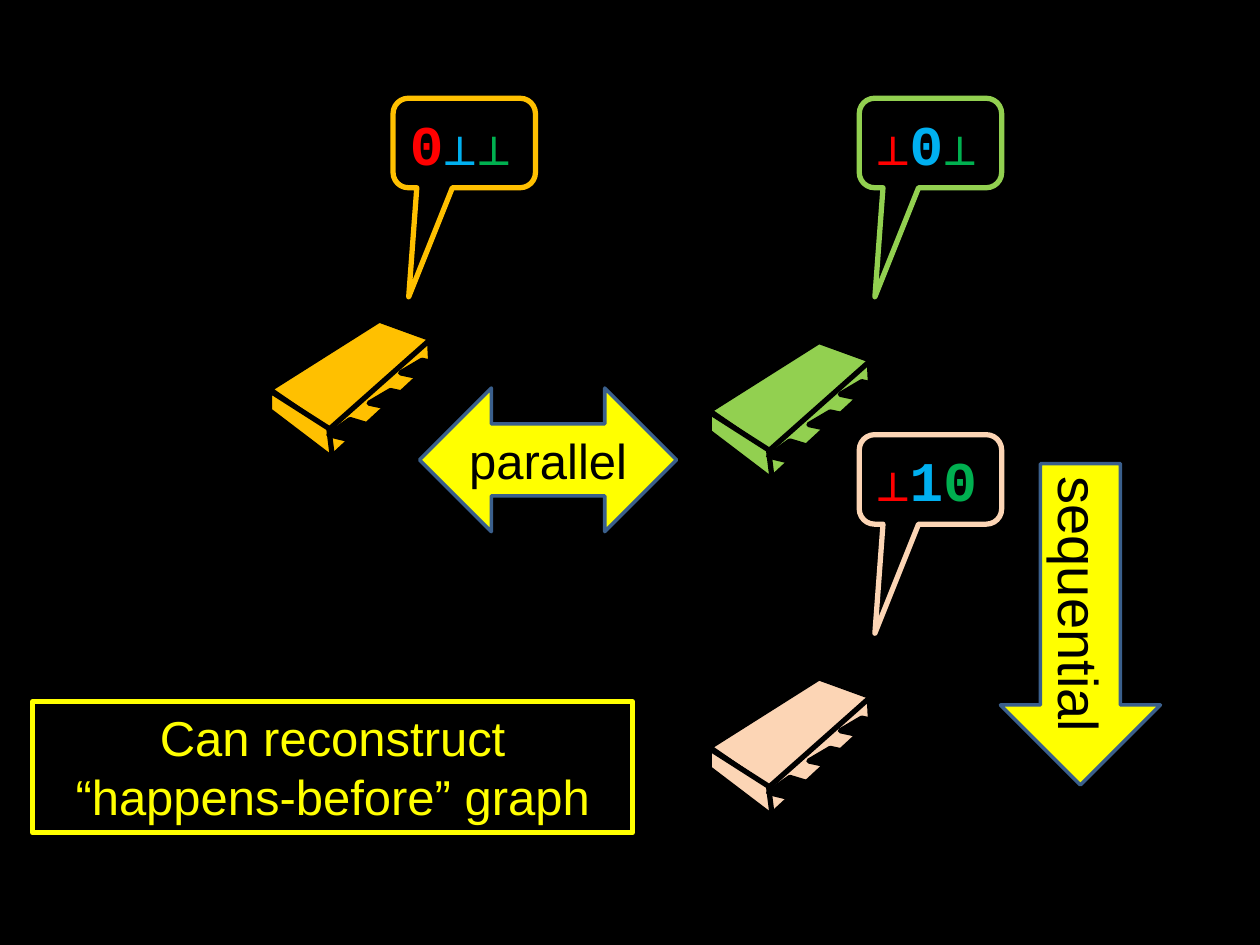
from dataclasses import dataclass

import pptx
import pptx.dml.color
import pptx.enum.shapes
import pptx.enum.text
import pptx.oxml
import pptx.oxml.ns
import pptx.util
from pptx.util import Inches

BLACK, YELLOW, ARROW_EDGE = "000000", "FFFF00", "3A5F8C"
CLOCK_COLOURS = ("FF0000", "00B0F0", "00B050")
SHAPES = pptx.enum.shapes.MSO_SHAPE
ALIGN = pptx.enum.text.PP_ALIGN
ANCHOR = pptx.enum.text.MSO_ANCHOR


@dataclass(frozen=True)
class Chip:
    left: float
    top: float
    colour: str
    clock: str
    callout_left: float
    callout_top: float


@dataclass(frozen=True)
class Part:
    """An outline placed inside a chip; black unless it is a face."""
    left: float
    top: float
    outline: tuple
    is_face: bool = False


@dataclass(frozen=True)
class Label:
    kind: int
    box: tuple
    text: str
    size: int
    fill: str
    line: str
    line_width: float
    font_colour: str
    rotation: int = 0
    wrap: bool = False
    anchor: int = ANCHOR.MIDDLE


# Outlines of the chip parts, in inches
BACK_PIN = ((0.24, 0.08), (0.08, 0), (0, 0.08), (0, 0.55),
            (0.08, 0.47), (0.08, 0.16), (0.24, 0.24))
CORNER_PIN = ((0.17, 0), (0, 0.12), (0.29, 0.19), (0.29, 0.55),
              (0.4, 0.43), (0.4, 0.07))
FRONT_PIN = ((0.17, 0), (0, 0.1), (0.28, 0.16), (0.28, 0.47),
             (0.4, 0.37), (0.4, 0.05))
TOP_FACE = ((0.87, 0), (0, 0.55), (0.48, 0.88), (1.31, 0.16))
SIDE_FACE = ((0.8, 0), (0, 0.71), (0.01, 0.94), (0.81, 0.2))
END_FACE = ((0, 0), (0, 0.16), (0.5, 0.54), (0.47, 0.3))

CHIP_PARTS = (
    Part(0.57, 0, BACK_PIN),
    Part(0, 0.41, BACK_PIN),
    Part(0.34, 0.18, BACK_PIN),
    Part(0.08, 0.02, TOP_FACE, True),
    Part(0.55, 0.18, SIDE_FACE, True),
    Part(0.08, 0.58, END_FACE, True),
    Part(0.55, 0.81, CORNER_PIN),
    Part(0.87, 0.58, FRONT_PIN),
    Part(1.12, 0.34, FRONT_PIN),
)

CHIPS = (
    Chip(2.06, 2.52, "FFC000", "0⊥⊥", 3.12, 0.78),
    Chip(5.55, 2.69, "92D050", "⊥0⊥", 6.82, 0.78),
    Chip(5.55, 5.36, "FCD5B5", "⊥10", 6.82, 3.45),
)

LABELS = (
    Label(SHAPES.LEFT_RIGHT_ARROW, (3.33, 3.08, 2.04, 1.14), "parallel", 28,
          YELLOW, ARROW_EDGE, 2, BLACK),
    Label(SHAPES.RECTANGLE, (0.26, 5.57, 4.76, 1.04),
          "Can reconstruct “happens-before” graph", 28,
          BLACK, YELLOW, 3, YELLOW, wrap=True, anchor=ANCHOR.TOP),
    Label(SHAPES.RIGHT_ARROW, (7.3, 4.32, 2.55, 1.27), "sequential", 32,
          YELLOW, ARROW_EDGE, 2, BLACK, rotation=90),
)


def rgb(colour: str) -> pptx.dml.color.RGBColor:
    return pptx.dml.color.RGBColor.from_string(colour)


def paint(shape, fill: str, line: str, line_width: float) -> None:
    shape.shadow.inherit = False
    shape.fill.solid()
    shape.fill.fore_color.rgb = rgb(fill)
    shape.line.color.rgb = rgb(line)
    shape.line.width = pptx.util.Pt(line_width)


def set_opacity(shape, percent: int) -> None:
    colour = shape.fill._xPr.find(".//" + pptx.oxml.ns.qn("a:srgbClr"))
    alpha = pptx.oxml.parse_xml(
        f'<a:alpha {pptx.oxml.ns.nsdecls("a")} val="{percent * 1000}"/>')
    colour.append(alpha)


def prepare_text(shape, wrap: bool, anchor: int, alignment: int):
    frame = shape.text_frame
    frame.word_wrap = wrap
    frame.auto_size = pptx.enum.text.MSO_AUTO_SIZE.SHAPE_TO_FIT_TEXT
    frame.vertical_anchor = anchor
    paragraph = frame.paragraphs[0]
    paragraph.alignment = alignment
    return paragraph


def add_run(paragraph, text: str, font: str, size: int, colour: str,
            bold: bool = False) -> None:
    run = paragraph.add_run()
    run.text = text
    run.font.name = font
    run.font.size = pptx.util.Pt(size)
    run.font.bold = bold
    run.font.color.rgb = rgb(colour)


def add_chip(slide, chip: Chip) -> None:
    group = slide.shapes.add_group_shape()
    for part in CHIP_PARTS:
        points = [(Inches(chip.left + part.left + x),
                   Inches(chip.top + part.top + y)) for x, y in part.outline]
        builder = group.shapes.build_freeform(*points[0])
        builder.add_line_segments(points[1:], close=True)
        fill = chip.colour if part.is_face else BLACK
        paint(builder.convert_to_shape(), fill, BLACK, 3)


def add_clock(slide, chip: Chip) -> None:
    callout = slide.shapes.add_shape(
        SHAPES.ROUNDED_RECTANGULAR_CALLOUT, Inches(chip.callout_left),
        Inches(chip.callout_top), Inches(1.13), Inches(0.71))
    for index, value in enumerate((-0.39, 1.72, 0.17)):
        callout.adjustments[index] = value
    paint(callout, BLACK, chip.colour, 3)
    set_opacity(callout, 90)
    paragraph = prepare_text(callout, False, ANCHOR.MIDDLE, ALIGN.LEFT)
    for symbol, colour in zip(chip.clock, CLOCK_COLOURS):
        add_run(paragraph, symbol, "Courier New", 32, colour, bold=True)


def add_label(slide, label: Label) -> None:
    shape = slide.shapes.add_shape(label.kind, *map(Inches, label.box))
    shape.rotation = label.rotation
    paint(shape, label.fill, label.line, label.line_width)
    paragraph = prepare_text(shape, label.wrap, label.anchor, ALIGN.CENTER)
    add_run(paragraph, label.text, "Arial", label.size, label.font_colour)


def main() -> None:
    presentation = pptx.Presentation()
    presentation.slide_width = Inches(10)
    presentation.slide_height = Inches(7.5)
    slide = presentation.slides.add_slide(presentation.slide_layouts[6])
    slide.background.fill.solid()
    slide.background.fill.fore_color.rgb = rgb(BLACK)

    # Chips with their vector clocks
    for chip in CHIPS:
        add_chip(slide, chip)
        add_clock(slide, chip)

    # Arrows and conclusion
    for label in LABELS:
        add_label(slide, label)

    presentation.save("out.pptx")


if __name__ == "__main__":
    main()
